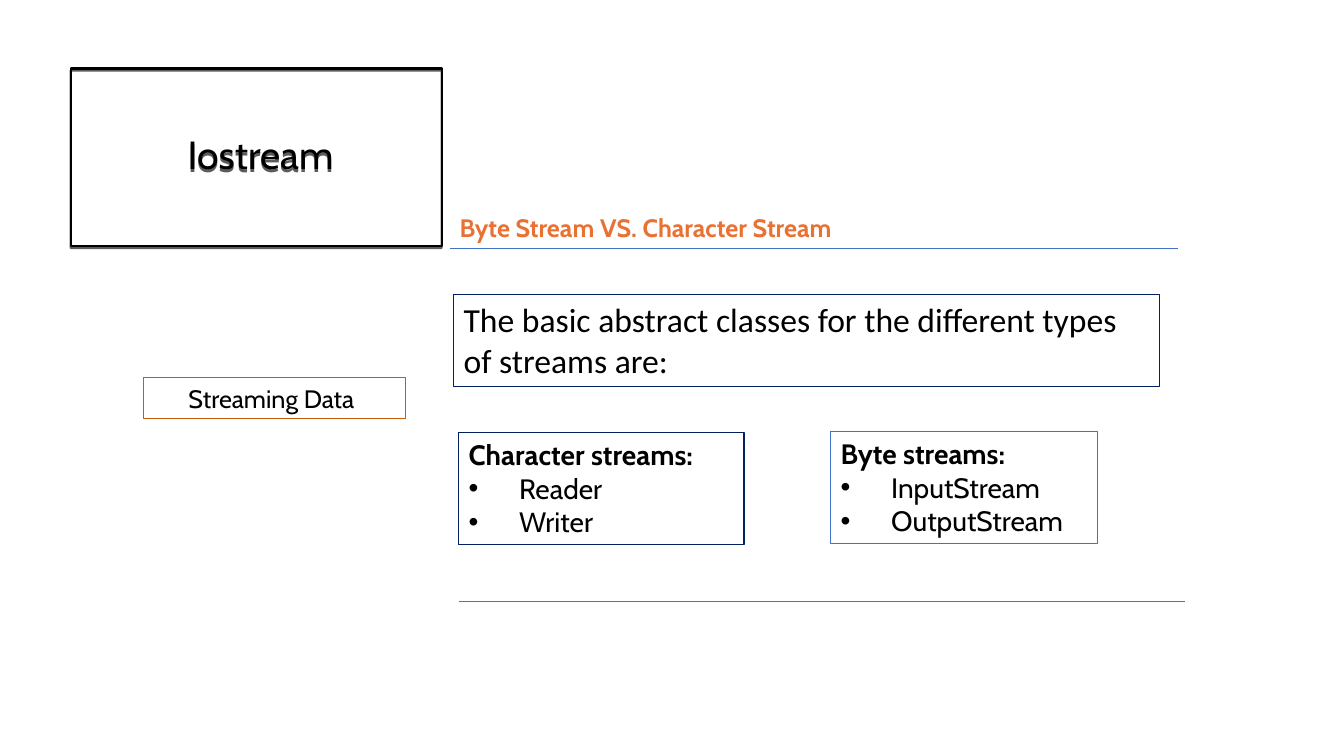
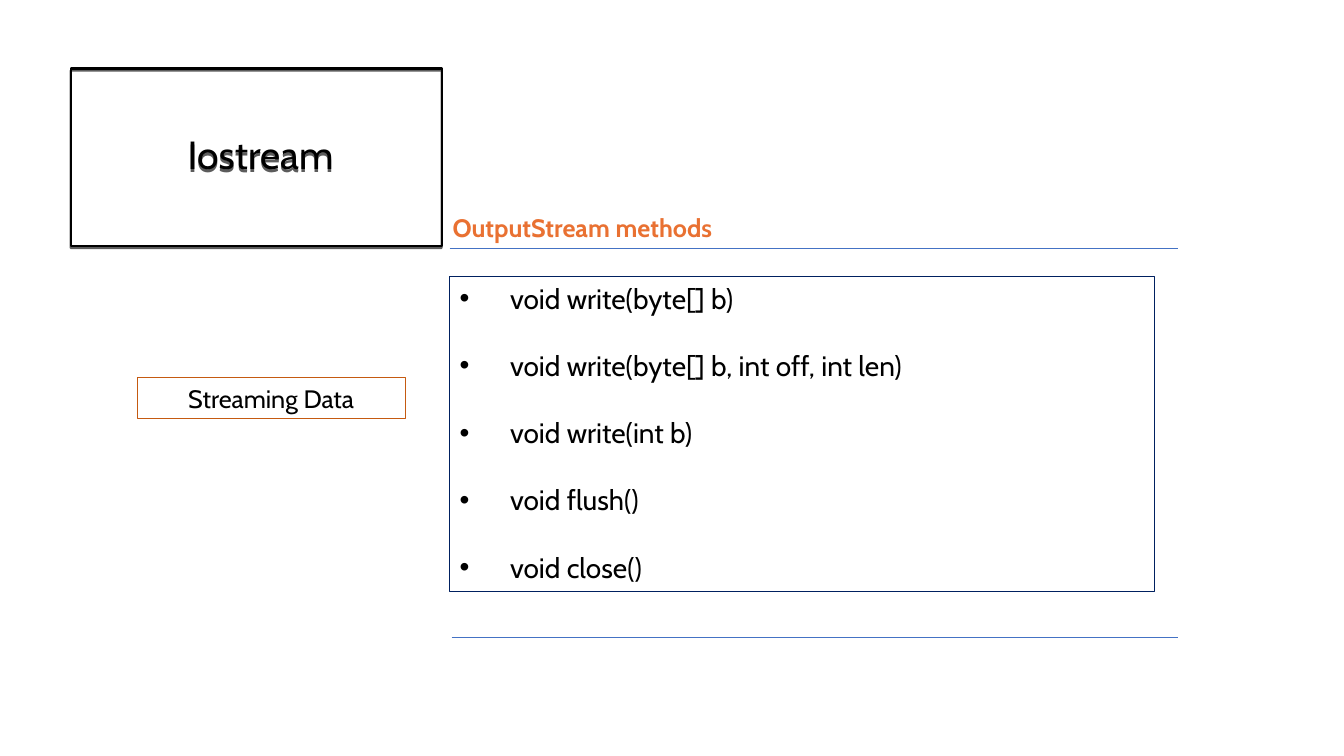
from lxml.etree import SubElement
from pptx import Presentation
from pptx.dml.color import RGBColor
from pptx.enum.shapes import MSO_CONNECTOR, MSO_SHAPE
from pptx.enum.text import MSO_ANCHOR, MSO_AUTO_SIZE, PP_ALIGN
from pptx.oxml.ns import qn
from pptx.util import Inches, Pt

COLORS = {
    "text": "000000",
    "navy": "002060",
    "blue": "4472C4",
    "rust": "C55A11",
    "heading": "E97132",
}
FONT = "Cabin"
BODY_FONT = "Calibri"
TITLE_BOX = (0.7, 0.68, 3.68, 1.76)
RULE_RIGHT = 11.68
HEADING_RULE_Y = 2.46
HEADING_HEIGHT = 0.4


def rgb(name):
    return RGBColor.from_string(COLORS[name])


def add_run(paragraph, text, size, font=FONT, bold=False, color="text"):
    run = paragraph.add_run()
    run.text = text
    run.font.size = Pt(size)
    run.font.name = font
    run.font.bold = bold
    run.font.color.rgb = rgb(color)


def add_bullet(paragraph):
    properties = paragraph._p.get_or_add_pPr()
    properties.set("marL", str(Inches(0.5)))
    properties.set("indent", str(Inches(-0.5)))
    SubElement(properties, qn("a:buFont"), typeface="Arial")
    SubElement(properties, qn("a:buChar"), char="•")


def add_frame(slide, box, line, width=0.75):
    shape = slide.shapes.add_shape(MSO_SHAPE.RECTANGLE, *map(Inches, box))
    shape.shadow.inherit = False
    shape.fill.background()
    shape.line.color.rgb = rgb(line)
    shape.line.width = Pt(width)
    frame = shape.text_frame
    frame.word_wrap = True
    frame.vertical_anchor = MSO_ANCHOR.TOP
    frame.auto_size = MSO_AUTO_SIZE.SHAPE_TO_FIT_TEXT
    frame.paragraphs[0].alignment = PP_ALIGN.LEFT
    return shape


def add_shadow(shape):
    effects = shape._element.spPr.find(qn("a:effectLst"))
    shadow = SubElement(effects, qn("a:outerShdw"), blurRad="0", dist=str(Pt(1.5)),
                        dir="5400000", algn="ctr", rotWithShape="0")
    color = SubElement(shadow, qn("a:srgbClr"), val=COLORS["text"])
    SubElement(color, qn("a:alpha"), val="63000")


def add_rule(slide, left, right, y):
    rule = slide.shapes.add_connector(
        MSO_CONNECTOR.STRAIGHT, Inches(left), Inches(y), Inches(right), Inches(y))
    rule.line.color.rgb = rgb("blue")
    rule.line.width = Pt(0.5)
    SubElement(rule._element.spPr, qn("a:effectLst"))


def add_title(slide, box):
    shape = add_frame(slide, box, "text", 1.5)
    add_shadow(shape)
    frame = shape.text_frame
    frame.auto_size = MSO_AUTO_SIZE.NONE
    frame.vertical_anchor = MSO_ANCHOR.MIDDLE
    paragraph = frame.paragraphs[0]
    paragraph.alignment = PP_ALIGN.CENTER
    paragraph.line_spacing = 0.9
    add_run(paragraph, " ", 28, BODY_FONT)
    add_run(paragraph, "Iostream", 28)


def add_topic(slide, box, text):
    paragraph = add_frame(slide, box, "rust").text_frame.paragraphs[0]
    paragraph.alignment = PP_ALIGN.CENTER
    add_run(paragraph, text, 18)


def add_heading(slide, left, width, text):
    box = (left, HEADING_RULE_Y - HEADING_HEIGHT, width, HEADING_HEIGHT)
    frame = slide.shapes.add_textbox(*map(Inches, box)).text_frame
    frame.word_wrap = True
    frame.auto_size = MSO_AUTO_SIZE.SHAPE_TO_FIT_TEXT
    add_run(frame.paragraphs[0], text, 18, bold=True, color="heading")
    add_rule(slide, 4.46, RULE_RIGHT, HEADING_RULE_Y)


def add_statement(slide, box, text):
    frame = add_frame(slide, box, "navy").text_frame
    add_run(frame.paragraphs[0], text, 24, BODY_FONT)


def add_list(slide, box, items, line="navy", heading=None, gap=0):
    frame = add_frame(slide, box, line).text_frame
    paragraph = frame.paragraphs[0]
    if heading:
        add_run(paragraph, heading, 20, bold=True)
    for index, item in enumerate(items):
        if heading or index:
            paragraph = frame.add_paragraph()
            paragraph.alignment = PP_ALIGN.LEFT
            paragraph.space_before = Pt(gap)
        add_bullet(paragraph)
        add_run(paragraph, item, 20)


def start_slide(presentation, heading, heading_left, heading_width, topic, topic_left):
    slide = presentation.slides.add_slide(presentation.slide_layouts[6])
    add_title(slide, TITLE_BOX)
    add_heading(slide, heading_left, heading_width, heading)
    add_topic(slide, (topic_left, 3.75, 4.02 - topic_left, 0.4), topic)
    return slide


def build_comparison(presentation):
    slide = start_slide(presentation, "Byte Stream VS. Character Stream", 4.46, 4.27,
                        "Streaming Data ", 1.42)
    add_statement(slide, (4.5, 2.92, 7, 0.91),
                  "The basic abstract classes for the different types of streams are:")
    add_list(slide, (4.55, 4.29, 2.83, 1.11), ["Reader", "Writer"],
             heading="Character streams:")
    add_list(slide, (8.24, 4.28, 2.65, 1.11), ["InputStream", "OutputStream"],
             line="blue", heading="Byte streams:")
    add_rule(slide, 4.55, 11.75, 5.97)


def build_methods(presentation):
    slide = start_slide(presentation, "OutputStream methods", 4.39, 3.01,
                        "Streaming Data", 1.36)
    methods = [
        "void write(byte[] b)",
        "void write(byte[] b, int off, int len)",
        "void write(int b)",
        "void flush()",
        "void close()",
    ]
    add_list(slide, (4.46, 2.74, 6.99, 3.13), methods, gap=24)
    add_rule(slide, 4.48, RULE_RIGHT, 6.32)


def main():
    presentation = Presentation()
    presentation.slide_width = Inches(13.33)
    presentation.slide_height = Inches(7.5)
    build_comparison(presentation)
    build_methods(presentation)
    presentation.save("out.pptx")


if __name__ == "__main__":
    main()
